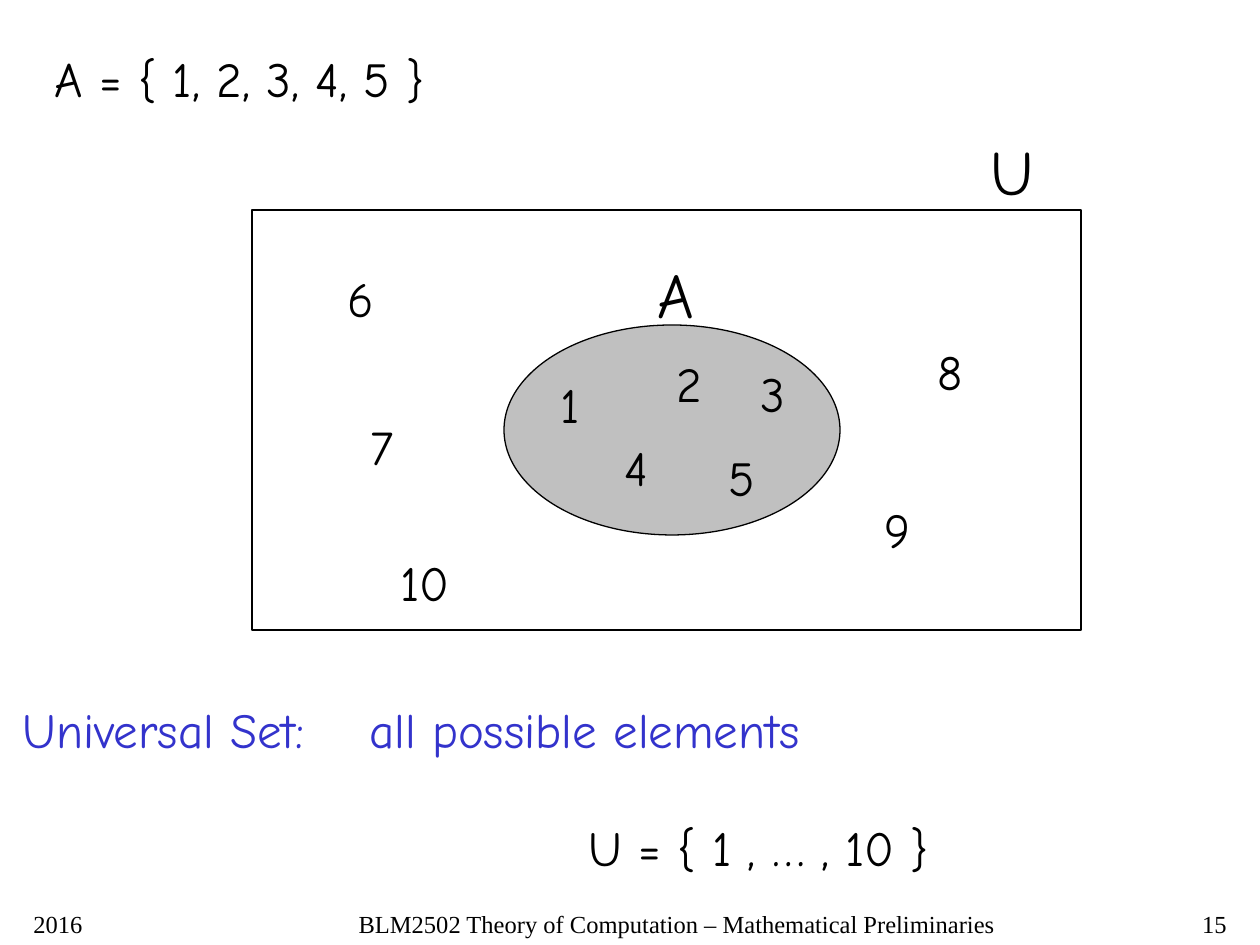
from lxml import etree
from pptx import Presentation
from pptx import util as u
from pptx.dml.color import RGBColor
from pptx.enum import shapes, text
from pptx.oxml.ns import qn

PX = u.Inches(1) // 126
HAND = "Comic Neue"
SERIF = "Times New Roman"
BLACK = "000000"
BLUE = "3333CC"
GRAY = "C0C0C0"

INSIDE = [("1", 548, 368, 44), ("2", 664, 347, 50), ("3", 748, 357, 49),
          ("4", 612, 431, 49), ("5", 716, 441, 52)]
OUTSIDE = [("6", 335, 262, 52), ("7", 358, 410, 48), ("8", 925, 335, 50),
           ("9", 872, 493, 50), ("10", 388, 546, 74)]
SET_NAMES = [("A", 645, 249, 62), ("U", 978, 126, 68)]


def color(code):
    return RGBColor.from_string(code)


def scale(*lengths):
    return [length * PX for length in lengths]


def format_runs(para, size, font, code):
    for span in para.runs:
        span.font.size = u.Pt(size)
        span.font.name = font
        span.font.color.rgb = color(code)


def add_text(page, words, place, size=28, font=HAND, code=BLACK,
             align=text.PP_ALIGN.LEFT, wrap=True):
    box = page.shapes.add_textbox(*scale(*place))
    box.text_frame.word_wrap = wrap
    para = box.text_frame.paragraphs[0]
    para.text = words
    para.alignment = align
    format_runs(para, size, font, code)
    return box


def add_outline(page, kind, place, fill=None):
    shape = page.shapes.add_shape(kind, *scale(*place))
    shape.shadow.inherit = False
    if fill:
        shape.fill.solid()
        shape.fill.fore_color.rgb = color(fill)
    else:
        shape.fill.background()
    shape.line.color.rgb = color(BLACK)
    shape.line.width = u.Pt(0.75)


def add_labels(page, labels, size, height):
    for words, left, top, width in labels:
        add_text(page, words, (left, top, width, height), size, wrap=False)


def add_definition(page):
    box = add_text(page, "Universal Set:\tall possible elements",
                   (10, 693, 932, 189), code=BLUE)
    first = box.text_frame.paragraphs[0]
    tabs = etree.SubElement(first._p.get_or_add_pPr(), qn("a:tabLst"))
    etree.SubElement(tabs, qn("a:tab"), pos=str(347 * PX), algn="l")
    second = box.text_frame.add_paragraph()
    second.text = "U = { 1 , … , 10 }"
    second._p.get_or_add_pPr().set("marL", str(566 * PX))
    second.space_before = u.Pt(34)
    format_runs(second, 28, HAND, BLACK)


def add_footer(page):
    for words, left, width, align in [
        ("2016", 21, 220, text.PP_ALIGN.LEFT),
        ("BLM2502 Theory of Computation – Mathematical Preliminaries",
         294, 766, text.PP_ALIGN.CENTER),
        ("15", 976, 263, text.PP_ALIGN.RIGHT),
    ]:
        add_text(page, words, (left, 903, width, 42), 14, SERIF, align=align)


def main():
    deck = Presentation()
    deck.slide_width, deck.slide_height = scale(1260, 945)
    page = deck.slides.add_slide(deck.slide_layouts[6])
    add_text(page, "A = { 1, 2, 3, 4, 5 }", (42, 42, 1134, 72))
    add_definition(page)
    add_outline(page, shapes.MSO_SHAPE.OVAL, (504, 325, 336, 210), GRAY)
    add_labels(page, INSIDE, 28, 72)
    add_outline(page, shapes.MSO_SHAPE.RECTANGLE, (252, 210, 829, 420))
    add_labels(page, SET_NAMES, 36, 88)
    add_labels(page, OUTSIDE, 28, 72)
    add_footer(page)
    deck.save("out.pptx")


if __name__ == "__main__":
    main()
